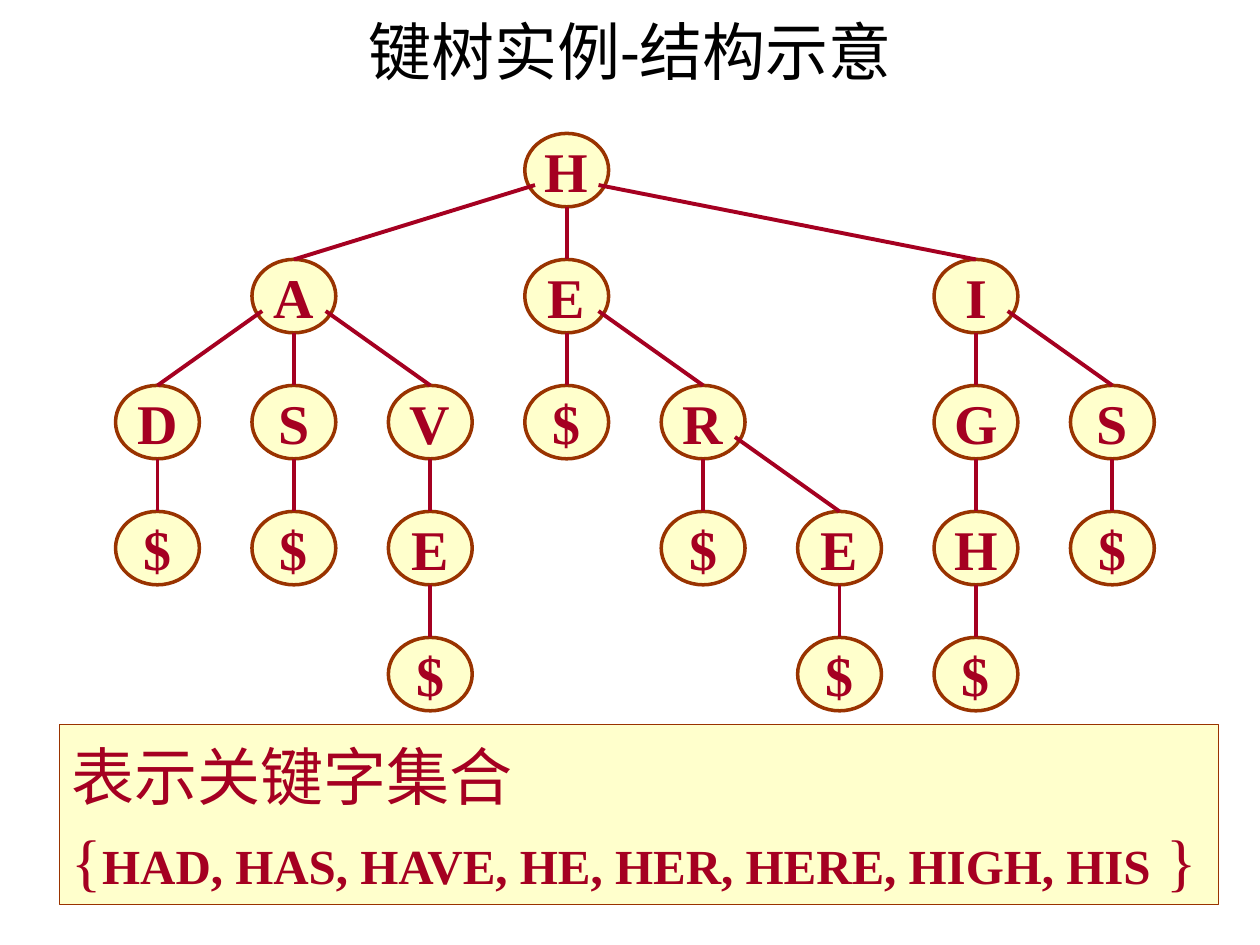
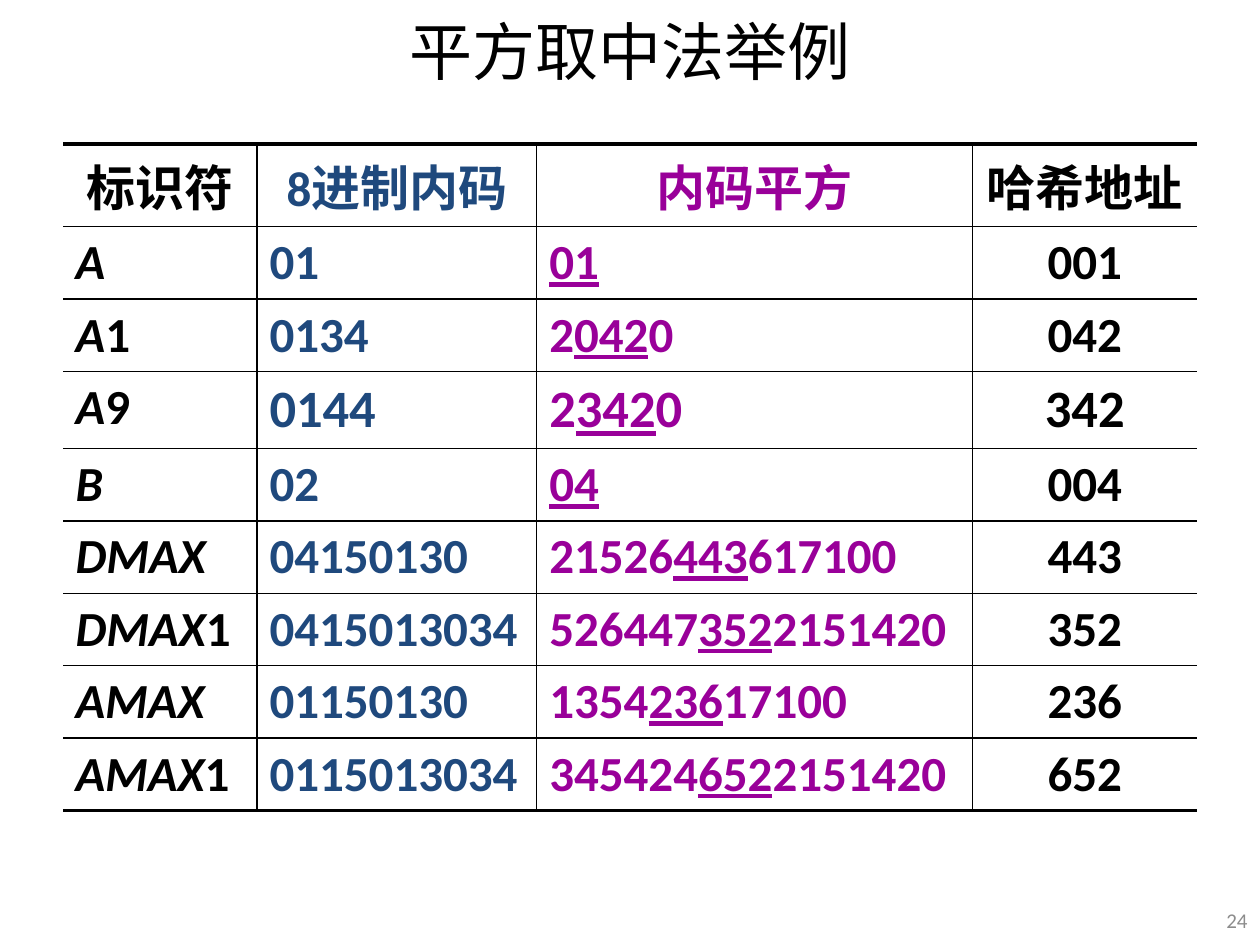
"""Build two slides: a key tree diagram and a mid-square hashing table."""
from lxml.etree import SubElement
from pptx import Presentation
from pptx.dml.color import RGBColor
from pptx.enum.shapes import MSO_CONNECTOR, MSO_SHAPE
from pptx.enum.text import MSO_ANCHOR, MSO_AUTO_SIZE, PP_ALIGN
from pptx.oxml import parse_xml
from pptx.oxml.ns import nsdecls, qn
from pptx.util import Cm, Pt

BLACK = RGBColor(0x00, 0x00, 0x00)
GRAY = RGBColor(0x8C, 0x8C, 0x8C)
NAVY = RGBColor(0x1F, 0x49, 0x7D)
PURPLE = RGBColor(0x99, 0x00, 0x99)
CRIMSON = RGBColor(0xA5, 0x00, 0x21)
BROWN = RGBColor(0x99, 0x33, 0x00)
CREAM = RGBColor(0xFF, 0xFF, 0xCC)

TITLE = {"name": "Calibri", "size": Pt(36)}
PAGE_NUMBER = {"name": "Calibri", "size": Pt(12)}
NODE = {"name": "Times New Roman", "size": Pt(32), "bold": True}
CAPTION = {"name": "Times New Roman", "size": Pt(36), "bold": False}
KEYWORDS = {"name": "Times New Roman", "size": Pt(28), "bold": True}
CELL = {"name": "Calibri", "size": Pt(28), "bold": True}


def add_span(para, text, formats, color):
    span = para.add_run()
    span.text = text
    for name, value in formats.items():
        setattr(span.font, name, value)
    span.font.color.rgb = color


def add_label(page, text, place, formats, color, alignment):
    box = page.shapes.add_textbox(*[Cm(length) for length in place])
    box.text_frame.word_wrap = True
    box.text_frame.vertical_anchor = MSO_ANCHOR.MIDDLE
    para = box.text_frame.paragraphs[0]
    para.alignment = alignment
    add_span(para, text, formats, color)


deck = Presentation()
deck.slide_width, deck.slide_height = Cm(25.4), Cm(19.05)
pages = []
for title in ("键树实例-结构示意", "平方取中法举例"):
    page = deck.slides.add_slide(deck.slide_layouts[6])
    add_label(page, title, (1.27, -0.08, 22.86, 2.2), TITLE, BLACK, PP_ALIGN.CENTER)
    pages.append(page)
tree_page, table_page = pages

NODE_WIDTH, NODE_HEIGHT = 1.69, 1.48
TREE_LEFT, TREE_TOP = 2.33, 2.69
COLUMN_STEP, LEVEL_STEP = 2.75, 2.54
BRANCH_X, BRANCH_Y = 0.64, 1.04
tree = [
    ("H", 3, 0, None),
    ("A", 1, 1, 3), ("E", 3, 1, 3), ("I", 6, 1, 3),
    ("D", 0, 2, 1), ("S", 1, 2, 1), ("V", 2, 2, 1), ("$", 3, 2, 3),
    ("R", 4, 2, 3), ("G", 6, 2, 6), ("S", 7, 2, 6),
    ("$", 0, 3, 0), ("$", 1, 3, 1), ("E", 2, 3, 2), ("$", 4, 3, 4),
    ("E", 5, 3, 4), ("H", 6, 3, 6), ("$", 7, 3, 7),
    ("$", 2, 4, 2), ("$", 5, 4, 5), ("$", 6, 4, 6),
]

nodes = []
for letter, column, level, parent in tree:
    node = tree_page.shapes.add_shape(
        MSO_SHAPE.OVAL,
        Cm(TREE_LEFT + column * COLUMN_STEP), Cm(TREE_TOP + level * LEVEL_STEP),
        Cm(NODE_WIDTH), Cm(NODE_HEIGHT))
    node.shadow.inherit = False
    node.fill.solid()
    node.fill.fore_color.rgb = CREAM
    node.line.color.rgb = BROWN
    node.line.width = Pt(2)
    node.text_frame.word_wrap = False
    node.text_frame.vertical_anchor = MSO_ANCHOR.MIDDLE
    para = node.text_frame.paragraphs[0]
    para.alignment = PP_ALIGN.CENTER
    add_span(para, letter, NODE, CRIMSON)
    nodes.append(node)

for node, (letter, column, level, parent) in zip(nodes, tree):
    if parent is None:
        continue
    side = (column > parent) - (column < parent)
    start_x = TREE_LEFT + parent * COLUMN_STEP + NODE_WIDTH / 2 + side * BRANCH_X
    start_y = TREE_TOP + (level - 1) * LEVEL_STEP + (BRANCH_Y if side else NODE_HEIGHT)
    branch = tree_page.shapes.add_connector(
        MSO_CONNECTOR.STRAIGHT, Cm(start_x), Cm(start_y), Cm(start_x), Cm(start_y))
    branch.end_connect(node, 0)
    branch.line.color.rgb = CRIMSON
    branch.line.width = Pt(2.25)
    SubElement(branch._element.spPr, qn("a:effectLst"))

caption = tree_page.shapes.add_shape(
    MSO_SHAPE.RECTANGLE, Cm(1.2), Cm(14.6), Cm(23.37), Cm(3.64))
caption.shadow.inherit = False
caption.fill.solid()
caption.fill.fore_color.rgb = CREAM
caption.line.color.rgb = BROWN
caption.line.width = Pt(0.75)
frame = caption.text_frame
frame.word_wrap = False
frame.auto_size = MSO_AUTO_SIZE.SHAPE_TO_FIT_TEXT
frame.vertical_anchor = MSO_ANCHOR.TOP
heading, keyword_set = frame.paragraphs[0], frame.add_paragraph()
for para in (heading, keyword_set):
    para.alignment = PP_ALIGN.LEFT
    para.line_spacing = 1.1
add_span(heading, "表示关键字集合", CAPTION, CRIMSON)
add_span(keyword_set, "{", CAPTION, CRIMSON)
add_span(keyword_set, "HAD, HAS, HAVE, HE, HER, HERE, HIGH, HIS", KEYWORDS, CRIMSON)
add_span(keyword_set, " }", CAPTION, CRIMSON)

add_label(table_page, "24", (24.31, 18.03, 1.09, 1.02), PAGE_NUMBER, GRAY, PP_ALIGN.RIGHT)

hash_rows = [
    ("标识符", "8进制内码", "内码平方", "哈希地址"),
    ("_A", "01", "_01", "001"),
    ("_A_1", "0134", "2_042_0", "042"),
    ("_A_9", "0144", "2_342_0", "342"),
    ("_B", "02", "_04", "004"),
    ("_DMAX", "04150130", "21526_443_617100", "443"),
    ("_DMAX_1", "0415013034", "526447_352_2151420", "352"),
    ("_AMAX", "01150130", "1354_236_17100", "236"),
    ("_AMAX_1", "0115013034", "345424_652_2151420", "652"),
]
column_widths = (3.91, 5.64, 8.79, 4.52)
column_colors = (BLACK, NAVY, PURPLE, BLACK)
emphasis = ("italic", "bold", "underline", "bold")
row_heights = [1.67, 1.46, 1.46, 1.55] + [1.46] * 5
last_row, last_column = len(hash_rows) - 1, len(column_widths) - 1

table = table_page.shapes.add_table(
    len(hash_rows), len(column_widths), Cm(1.27), Cm(2.9),
    Cm(sum(column_widths)), Cm(sum(row_heights))).table
table.first_row = False
table.horz_banding = False
for column, width in zip(table.columns, column_widths):
    column.width = Cm(width)
for row, height in zip(table.rows, row_heights):
    row.height = Cm(height)

for row, texts in enumerate(hash_rows):
    for column, text in enumerate(texts):
        cell = table.cell(row, column)
        cell.fill.background()
        para = cell.text_frame.paragraphs[0]
        centered = row == 0 or column == last_column
        para.alignment = PP_ALIGN.CENTER if centered else PP_ALIGN.LEFT
        for index, part in enumerate(text.split("_")):
            if part:
                formats = dict(CELL)
                if index % 2:
                    formats[emphasis[column]] = True
                if row == 3 and column > 0:
                    formats["size"] = Pt(30)
                add_span(para, part, formats, column_colors[column])
        borders = {
            "lnL": 1 if column > 0 else 0,
            "lnR": 1 if column < last_column else 0,
            "lnT": 1 if row > 0 else 2.25,
            "lnB": 1 if row < last_row else 2.25,
        }
        for position, (tag, width) in enumerate(borders.items()):
            paint = f'<a:solidFill><a:srgbClr val="{BLACK}"/></a:solidFill>' if width else "<a:noFill/>"
            border = parse_xml(f'<a:{tag} {nsdecls("a")} w="{Pt(width)}">{paint}</a:{tag}>')
            cell._tc.get_or_add_tcPr().insert(position, border)

deck.save("out.pptx")
